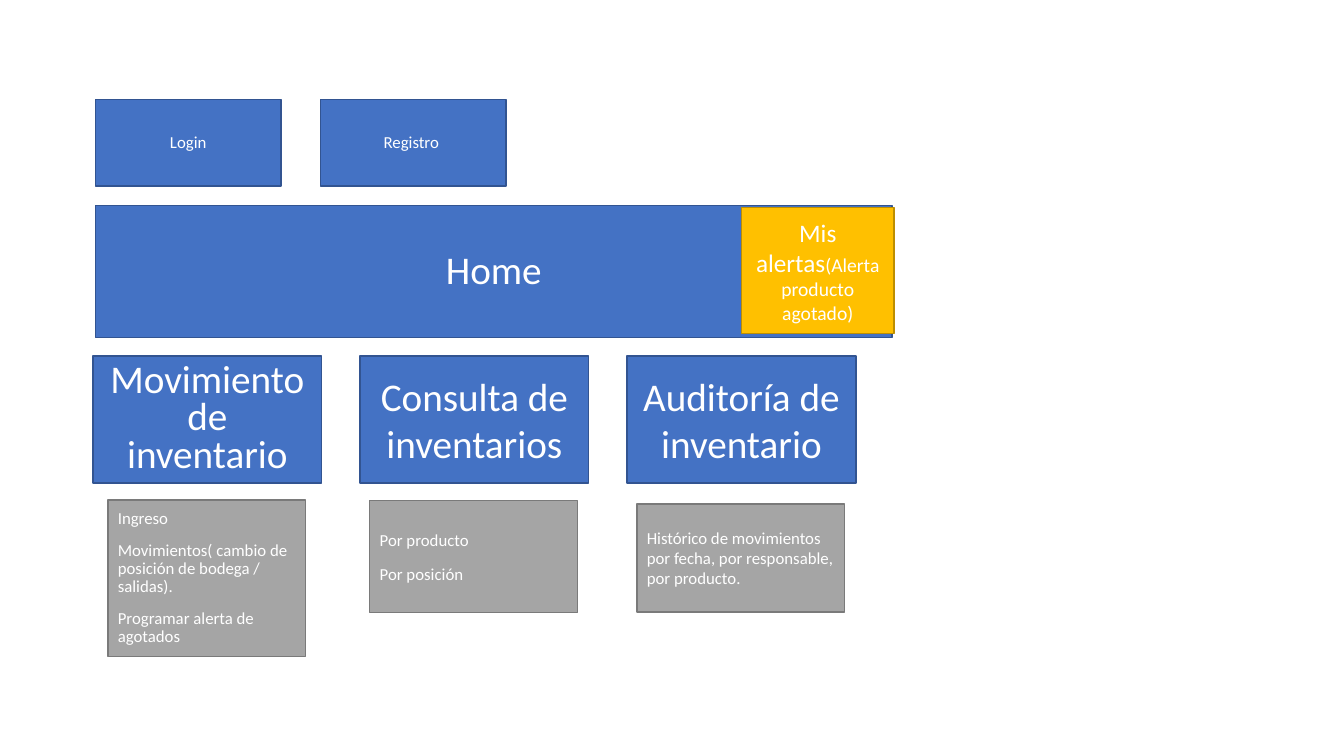
import pptx
import pptx.util
import pptx.dml.color
import pptx.enum.shapes
import pptx.enum.text

Cm = pptx.util.Cm
Pt = pptx.util.Pt
CENTER = pptx.enum.text.PP_ALIGN.CENTER
LEFT = pptx.enum.text.PP_ALIGN.LEFT

# Fill and outline of each kind of box
BLUE = ("4472C4", "325491")
GRAY = ("A5A5A5", "7A7A7A")
AMBER = ("FFC000", "BD8E00")


def color(hex_value):
    return pptx.dml.color.RGBColor.from_string(hex_value)


def set_attributes(target, values):
    for name, value in values.items():
        setattr(target, name, value)


def add_box(slide, position, colors, paragraphs, **paragraph_format):
    """Add a rectangle; each paragraph is a list of (text, size) runs."""
    shape = slide.shapes.add_shape(
        pptx.enum.shapes.MSO_SHAPE.RECTANGLE, *map(Cm, position))
    shape.shadow.inherit = False
    fill_color, line_color = colors
    shape.fill.solid()
    shape.fill.fore_color.rgb = color(fill_color)
    shape.line.color.rgb = color(line_color)
    shape.line.width = Pt(1)

    frame = shape.text_frame
    set_attributes(frame, {
        "word_wrap": True,
        "vertical_anchor": pptx.enum.text.MSO_ANCHOR.MIDDLE,
    })
    for index, runs in enumerate(paragraphs):
        paragraph = frame.add_paragraph() if index else frame.paragraphs[0]
        set_attributes(paragraph, paragraph_format)
        for text, size in runs:
            run = paragraph.add_run()
            run.text = text
            set_attributes(run.font, {"name": "Calibri", "size": Pt(size)})
            run.font.color.rgb = color("FFFFFF")


def add_title_box(slide, position, text, size, **paragraph_format):
    add_box(slide, position, BLUE, [[(text, size)]],
            alignment=CENTER, **paragraph_format)


def add_detail_box(slide, position, lines, **paragraph_format):
    add_box(slide, position, GRAY, [[(line, 12)] for line in lines],
            alignment=LEFT, space_before=Pt(10), **paragraph_format)


def main():
    presentation = pptx.Presentation()
    presentation.slide_width = Cm(33.87)
    presentation.slide_height = Cm(19.05)
    slide = presentation.slides.add_slide(presentation.slide_layouts[6])
    compact = {"line_spacing": 0.9, "space_before": Pt(10)}

    # Access screens
    for left, text in ((2.41, "Login"), (8.08, "Registro ")):
        add_title_box(slide, (left, 2.51, 4.67, 2.18), text, 12, **compact)

    # Home bar with its alerts
    add_title_box(slide, (2.41, 5.18, 20.07, 3.33), "Home", 28, **compact)
    add_box(slide, (18.69, 5.23, 3.84, 3.18), AMBER,
            [[("Mis alertas", 18), ("(Alerta producto agotado)", 14)]],
            alignment=CENTER)

    # Inventory modules
    modules = (
        ("Movimiento de inventario",
         {"line_spacing": 0.8, "space_before": Pt(10)}),
        ("Consulta de inventarios", {}),
        ("Auditoría de inventario", {}),
    )
    for column, (text, spacing) in enumerate(modules):
        add_title_box(slide, (2.34 + 6.73 * column, 8.97, 5.77, 3.2),
                      text, 28, **spacing)

    # Functions of each module
    add_detail_box(slide, (2.72, 12.6, 4.98, 3.94), (
        "Ingreso",
        "Movimientos( cambio de posición de bodega / salidas).",
        "Programar alerta de agotados",
    ), line_spacing=0.9)
    add_detail_box(slide, (9.32, 12.62, 5.23, 2.82),
                   ("Por producto", "Por posición"))
    add_detail_box(slide, (16.05, 12.7, 5.23, 2.72), (
        "Histórico de movimientos por fecha, por responsable, por producto.",
    ))

    presentation.save("out.pptx")


if __name__ == "__main__":
    main()
